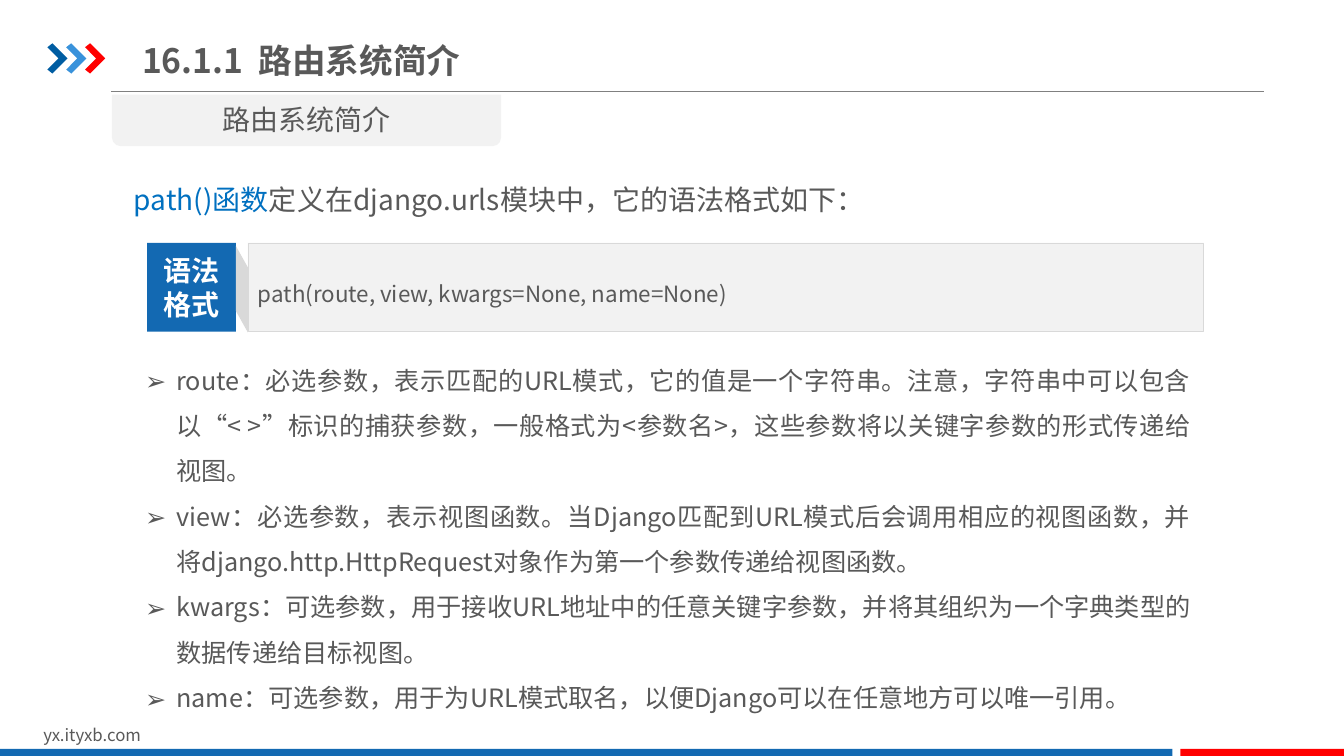
from lxml import etree
from pptx import Presentation
from pptx.dml.color import RGBColor
from pptx.enum.shapes import MSO_CONNECTOR, MSO_SHAPE
from pptx.enum.text import MSO_ANCHOR, MSO_AUTO_SIZE, PP_ALIGN
from pptx.oxml.ns import qn
from pptx.util import Inches, Pt

RECT = MSO_SHAPE.RECTANGLE
TAB = MSO_SHAPE.ROUND_2_SAME_RECTANGLE
LINE = MSO_CONNECTOR.STRAIGHT
TOP, MID = MSO_ANCHOR.TOP, MSO_ANCHOR.MIDDLE
LEFT, CENTER, EVEN = PP_ALIGN.LEFT, PP_ALIGN.CENTER, PP_ALIGN.JUSTIFY
FIXED = MSO_AUTO_SIZE.NONE

WIDE, HIGH = Inches(13.33), Inches(7.5)
FACE = "Noto Sans CJK SC"
GRAY, BLUE, RED, PALE, EDGE = "595959", "1369B2", "FF0000", "F2F2F2", "D9D9D9"
ARROWS = ("005DA2", "3992DB", RED)
ARROW = ((0, .13), (.25, 0), (1, .5), (.25, 1), (0, .87), (.55, .5))
FOLD = ((0, 0), (1, .25), (1, 1), (0, .75))
INSET = (.1, .05)
HANG = .31

PARAMS = (
    "route：必选参数，表示匹配的URL模式，它的值是一个字符串。注意，字符串中可以包含以“< >”标识的捕获参数，"
    "一般格式为<参数名>，这些参数将以关键字参数的形式传递给视图。",
    "view：必选参数，表示视图函数。当Django匹配到URL模式后会调用相应的视图函数，"
    "并将django.http.HttpRequest对象作为第一个参数传递给视图函数。",
    "kwargs：可选参数，用于接收URL地址中的任意关键字参数，并将其组织为一个字典类型的数据传递给目标视图。",
    "name：可选参数，用于为URL模式取名，以便Django可以在任意地方可以唯一引用。",
)


def col(share):
    return round(WIDE * share / 100)


def row(share):
    return round(HIGH * share / 100)


def area(left, top, width, height):
    return col(left), row(top), col(width), row(height)


def tint(hue):
    return RGBColor.from_string(hue)


def apply(item, **values):
    for name, value in values.items():
        setattr(item, name, value)


def paint(shape, fill, edge=None):
    shape.shadow.inherit = False
    shape.fill.solid()
    shape.fill.fore_color.rgb = tint(fill)
    if edge:
        shape.line.color.rgb = tint(edge)
        shape.line.width = Pt(.25)
    else:
        shape.line.fill.background()


def bullet(para):
    props = para._p.get_or_add_pPr()
    props.set("marL", str(Inches(HANG)))
    props.set("indent", str(-Inches(HANG)))
    etree.SubElement(props, qn("a:buFont"), typeface=FACE)
    etree.SubElement(props, qn("a:buChar"), char="➢")


def write(shape, paras, size, hue=GRAY, bold=False, align=LEFT,
          anchor=TOP, space=1.0, inset=INSET, marks=False):
    frame = shape.text_frame
    side, edge = map(Inches, inset)
    apply(frame, word_wrap=True, auto_size=FIXED, vertical_anchor=anchor,
          margin_left=side, margin_right=side, margin_top=edge, margin_bottom=edge)
    for num, parts in enumerate(paras):
        para = frame.add_paragraph() if num else frame.paragraphs[0]
        apply(para, alignment=align, line_spacing=space)
        if marks:
            bullet(para)
        for text, tone in [(parts, hue)] if isinstance(parts, str) else parts:
            run = para.add_run()
            run.text = text
            apply(run.font, name=FACE, size=Pt(size), bold=bold)
            run.font.color.rgb = tint(tone)
            etree.SubElement(run._r.get_or_add_rPr(), qn("a:ea"), typeface=FACE)


def block(slide, spot, fill, edge=None, kind=RECT):
    shape = slide.shapes.add_shape(kind, *area(*spot))
    paint(shape, fill, edge)
    return shape


def label(slide, spot, paras, size, **style):
    write(slide.shapes.add_textbox(*area(*spot)), paras, size, **style)


def outline(slide, spot, points, fill):
    left, top, width, height = area(*spot)
    spots = [(left + x * width, top + y * height) for x, y in points]
    form = slide.shapes.build_freeform(*spots[0])
    form.add_line_segments(spots[1:], close=True)
    paint(form.convert_to_shape(), fill)


def rule(slide, left, right, top):
    line = slide.shapes.add_connector(LINE, col(left), row(top), col(right), row(top))
    line.line.color.rgb = tint("808080")
    line.line.width = Pt(.75)
    etree.SubElement(line._element.spPr, qn("a:effectLst"))


def head(slide):
    title = slide.shapes.title
    left, top, width, height = area(9.83, 3.87, 40.58, 8.13)
    apply(title, left=left, top=top, width=width, height=height)
    write(title, ["16.1.1  路由系统简介"], 24, bold=True, anchor=MID)
    rule(slide, 8.25, 94.05, 12.13)
    for num, hue in enumerate(ARROWS):
        outline(slide, (3.53 + 1.4 * num, 5.73, 1.5, 4), ARROW, hue)
    block(slide, (8.33, 12.53, 28.95, 6.8), PALE, kind=TAB).rotation = 180
    label(slide, (8.33, 12.93, 28.95, 5.87), ["路由系统简介"], 20, align=CENTER)


def syntax(slide):
    top, high = 32.13, 11.73
    code = block(slide, (18.45, top, 71.1, high), PALE, EDGE)
    write(code, ["path(route, view, kwargs=None, name=None)"], 16, anchor=MID, space=1.5)
    badge = block(slide, (10.95, top, 6.6, high), BLUE)
    write(badge, ["语法", "格式"], 20, hue="FFFFFF", bold=True, align=CENTER,
          anchor=MID, inset=(0, 0))
    outline(slide, (17.55, 32.53, .9, 11.47), FOLD, EDGE)


def foot(slide):
    label(slide, (2.48, 95.2, 23.85, 4), ["yx.ityxb.com"], 12)
    block(slide, (0, 99.07, 87.23, .93), BLUE)
    block(slide, (87.83, 99.07, 12.17, .93), RED)


def main():
    deck = Presentation()
    apply(deck, slide_width=WIDE, slide_height=HIGH)
    slide = deck.slides.add_slide(deck.slide_layouts[5])
    head(slide)
    intro = [("path()函数", "0070C0"), ("定义在django.urls模块中，它的语法格式如下：", GRAY)]
    label(slide, (9.23, 21.2, 81.08, 9.07), [intro], 20, align=EVEN, space=1.5)
    syntax(slide)
    label(slide, (9.83, 45.33, 79.73, 50.27), PARAMS, 18, align=EVEN, space=1.5,
          inset=(.13, .07), marks=True)
    foot(slide)
    deck.save("out.pptx")


if __name__ == "__main__":
    main()
